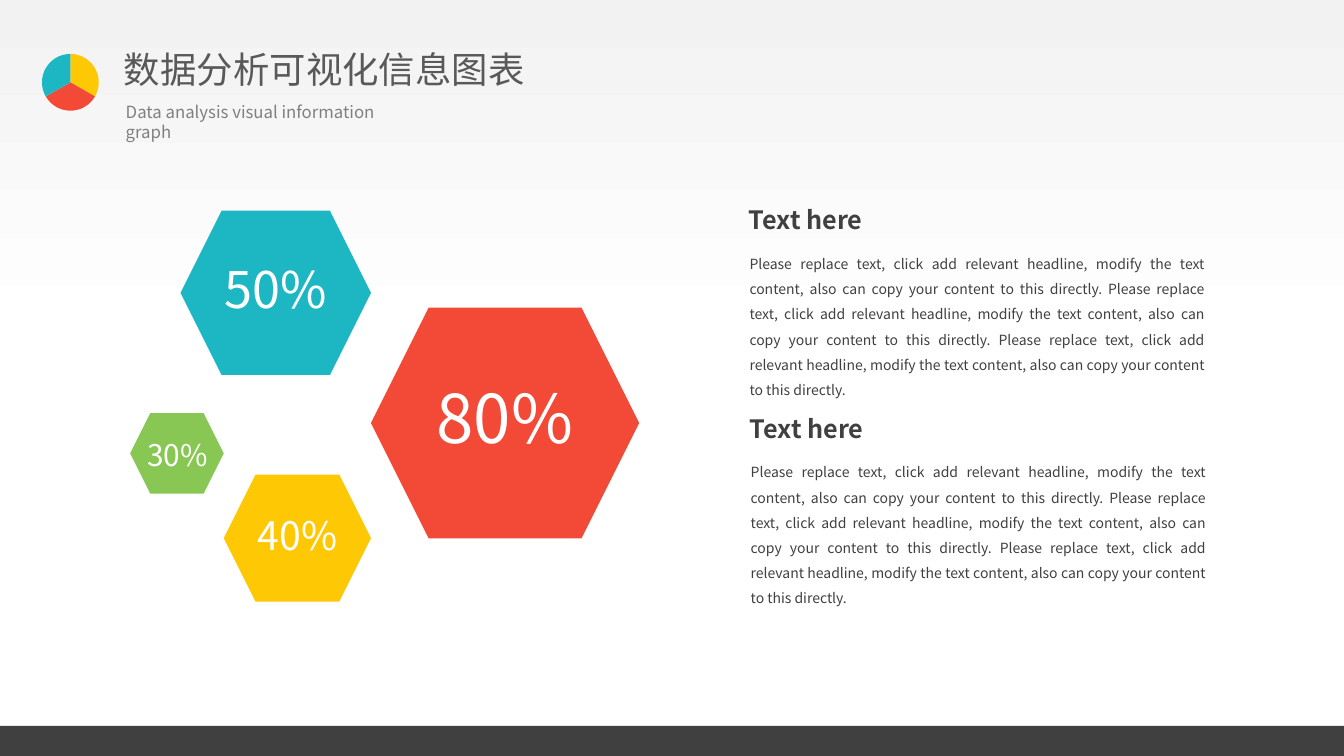
from dataclasses import dataclass

from lxml.etree import SubElement
from pptx import Presentation
from pptx.dml.color import RGBColor
from pptx.enum.shapes import MSO_SHAPE
from pptx.enum.text import MSO_ANCHOR, MSO_AUTO_SIZE, PP_ALIGN
from pptx.oxml.ns import qn
from pptx.util import Cm, Pt


@dataclass(frozen=True)
class Theme:
    font: str = "Noto Sans CJK SC"
    teal: str = "1DB7C4"
    yellow: str = "FEC805"
    red: str = "F24A36"
    green: str = "88C754"
    dark: str = "404040"
    title: str = "595959"
    subtitle: str = "808080"
    white: str = "FFFFFF"
    sky: str = "F2F2F2"
    title_size: float = 26
    heading_size: float = 18
    subtitle_size: float = 12
    body_size: float = 10


THEME = Theme()
WIDTH, HEIGHT = 33.87, 19.05
FOOTER_HEIGHT = 0.76
SENTENCE = ("Please replace text, click add relevant headline, modify the text "
            "content, also can copy your content to this directly.")
BODY = " ".join([SENTENCE] * 3)

HEXAGONS = [
    ("30%", 21.3, THEME.green, (3.28, 10.41, 2.36, 2.03), (3.25, 10.97, 2.46, 1.07)),
    ("40%", 28, THEME.yellow, (5.64, 11.96, 3.71, 3.2), (5.92, 12.9, 3.15, 1.35)),
    ("80%", 48, THEME.red, (9.35, 7.75, 6.76, 5.82), (10.39, 9.6, 4.67, 2.11)),
    ("50%", 36, THEME.teal, (4.55, 5.31, 4.8, 4.14), (4.62, 6.55, 4.67, 1.65)),
]


def cm_box(box):
    return [Cm(v) for v in box]


def write(sp, text, size, color, align=PP_ALIGN.LEFT, spacing=1.0,
          anchor=MSO_ANCHOR.TOP, bold=False):
    tf = sp.text_frame
    tf.word_wrap = True
    tf.auto_size = MSO_AUTO_SIZE.NONE
    tf.vertical_anchor = anchor
    p = tf.paragraphs[0]
    p.alignment = align
    p.line_spacing = spacing
    r = p.add_run()
    r.text = text
    r.font.name = THEME.font
    r.font.size = Pt(size)
    r.font.bold = bold
    r.font.color.rgb = RGBColor.from_string(color)
    SubElement(r.font._element, qn("a:ea")).set("typeface", THEME.font)


def add_text(shapes, box, *args, **kwargs):
    write(shapes.add_textbox(*cm_box(box)), *args, **kwargs)


def add_flat(shapes, kind, box, color):
    sp = shapes.add_shape(kind, *cm_box(box))
    sp.shadow.inherit = False
    sp.fill.solid()
    sp.fill.fore_color.rgb = RGBColor.from_string(color)
    sp.line.fill.background()
    return sp


def set_background(s):
    fill = s.background.fill
    fill.gradient()
    fill.gradient_angle = 270
    stops = zip(fill.gradient_stops, (0, 0.44), (THEME.sky, THEME.white))
    for stop, position, color in stops:
        stop.position = position
        stop.color.rgb = RGBColor.from_string(color)


def add_title(s, text):
    sp = s.shapes.title
    sp.left, sp.top, sp.width, sp.height = cm_box((2.87, 1.07, 10.87, 1.37))
    write(sp, text, THEME.title_size, THEME.title)


def add_pie(s):
    group = s.shapes.add_group_shape()
    for i, color in enumerate((THEME.yellow, THEME.red, THEME.teal)):
        sp = add_flat(group.shapes, MSO_SHAPE.PIE, (1.06, 1.36, 1.43, 1.43), color)
        start = (270 + 120 * i) % 360
        end = (start + 120) % 360
        sp.adjustments[0] = start * 0.6
        sp.adjustments[1] = end * 0.6


def add_hexagon(s, label, size, color, box, label_box):
    group = s.shapes.add_group_shape()
    add_flat(group.shapes, MSO_SHAPE.HEXAGON, box, color)
    add_text(group.shapes, label_box, label, size, THEME.white,
             align=PP_ALIGN.CENTER, spacing=0.9)


def add_section(s, left, top, heading, body):
    add_text(s.shapes, (left + 0.02, top + 1.17, 11.96, 3.4), body,
             THEME.body_size, THEME.dark, align=PP_ALIGN.JUSTIFY, spacing=1.5)
    add_text(s.shapes, (left, top, 7.21, 1.22), heading,
             THEME.heading_size, THEME.dark, anchor=MSO_ANCHOR.MIDDLE, bold=True)


def main():
    prs = Presentation()
    prs.slide_width, prs.slide_height = Cm(WIDTH), Cm(HEIGHT)
    s = prs.slides.add_slide(prs.slide_layouts.get_by_name("Title Only"))
    set_background(s)
    add_title(s, "数据分析可视化信息图表")
    add_pie(s)
    add_text(s.shapes, (2.92, 2.44, 7.85, 0.76),
             "Data analysis visual information graph",
             THEME.subtitle_size, THEME.subtitle)
    add_flat(s.shapes, MSO_SHAPE.RECTANGLE,
             (0, HEIGHT - FOOTER_HEIGHT, WIDTH, FOOTER_HEIGHT), THEME.dark)
    for hexagon in HEXAGONS:
        add_hexagon(s, *hexagon)
    for i in range(2):
        add_section(s, 18.62 + 0.03 * i, 4.93 + 5.25 * i, "Text here", BODY)
    prs.save("out.pptx")


if __name__ == "__main__":
    main()
